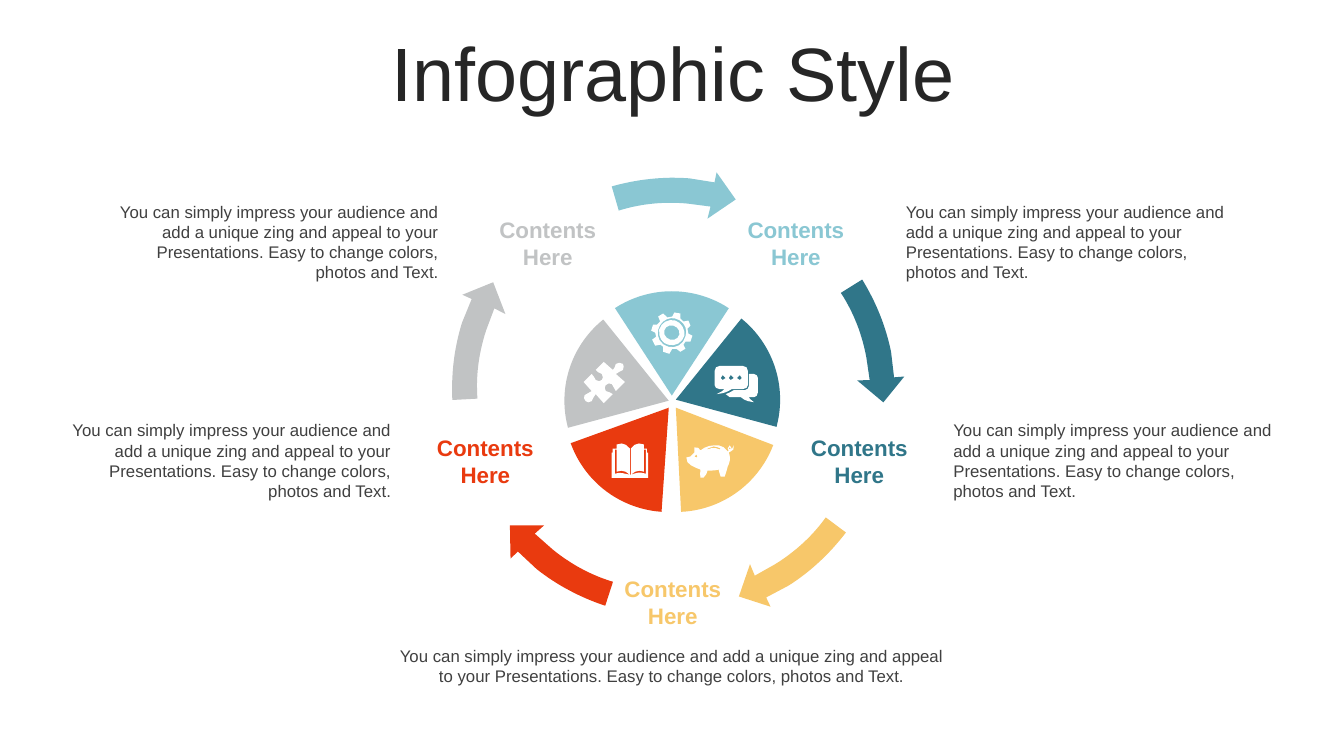
from dataclasses import dataclass
from math import ceil, dist

from pptx import Presentation
from pptx.dml.color import RGBColor
from pptx.enum.shapes import MSO_SHAPE as SHAPE
from pptx.enum.text import MSO_ANCHOR as ANCHOR, MSO_AUTO_SIZE as AUTO, PP_ALIGN as ALIGN
from pptx.util import Pt

Point = tuple[float, float]

GRID = 0.72  # points per outline unit
STEP_LENGTH = 5  # outline units per straight piece of a curve
PIE_SIZE = 149
PIE_ANGLES = (142.18, 181.88)
LABEL_SIZE = (88.6, 46.1)
WHITE, DARK, INK = "FFFFFF", "262626", "404040"
LABEL = "Contents Here"
NOTE = ("You can simply impress your audience and add a unique zing and appeal "
        "to your Presentations. Easy to change colors, photos and Text.")

TITLE_FONT = {"size": Pt(54), "name": "Arial"}
LABEL_FONT = {"size": Pt(16), "name": "Arial", "bold": True}
NOTE_FONT = {"size": Pt(12), "name": "Arial"}

ARROW = """M 104 0 L 123 27 L 95 46 L 98 34 L 75 31 C 52 29 29 31 7 38
L 0 14 C 25 7 51 4 77 6 L 102 10 Z"""
GEAR = """M 22 13 C 18 12 14 14 13 18 C 12 22 15 26 19 27 C 23 28 27 26 28 22
C 29 18 26 14 22 13 Z M 24 8 C 30 10 34 17 33 23 C 31 30 24 34 17 32
C 11 31 7 24 8 17 C 10 10 17 6 24 8 Z M 24 6 C 17 4 9 9 7 17 C 5 24 9 32 17 34
C 24 36 32 32 34 24 C 37 16 32 8 24 6 Z M 29 1 L 29 6 L 32 9 L 37 8
L 39 13 L 36 16 L 37 21 L 41 23 L 39 29 L 34 29 L 32 32
L 34 36 L 29 39 L 25 36 L 21 36 L 18 41 L 12 39 L 12 34
L 9 32 L 4 33 L 1 27 L 5 24 L 4 20 L 0 18 L 2 12 L 6 12
L 9 9 L 7 4 L 12 1 L 16 5 L 21 4 L 23 0 Z"""
CHAT = """M 25 9 C 23 9 22 10 22 12 C 22 13 23 14 25 14 C 26 14 27 13 27 12
C 27 10 26 9 25 9 Z M 16 9 C 15 9 14 10 14 12 C 14 13 15 14 16 14
C 18 14 19 13 19 12 C 19 10 18 9 16 9 Z M 8 9 C 7 9 6 10 6 12 C 6 13 7 14 8 14
C 10 14 11 13 11 12 C 11 10 10 9 8 9 Z M 34 8 L 39 8 C 41 8 43 10 43 12 L 43 26
C 43 29 41 31 39 31 L 34 31 C 35 32 34 33 39 36 C 31 35 30 34 26 31 L 15 31
C 13 31 12 30 11 28 C 14 27 16 26 19 24 L 30 24 C 32 24 34 22 34 20 Z
M 5 0 L 28 0 C 31 0 33 2 33 5 L 33 19 C 33 21 31 23 28 23 L 17 23
C 12 26 10 27 2 28 C 7 25 7 26 10 23 L 5 23 C 2 23 0 21 0 19 L 0 5 C 0 2 2 0 5 0 Z"""
PIG = """M 10 9 L 8 11 L 10 12 L 11 11 Z M 43 2 L 42 3 L 43 4 L 44 3 Z
M 27 1 L 21 3 L 21 4 C 25 2 29 2 33 4 L 34 3 C 32 2 29 1 27 1 Z
M 27 0 C 32 -1 38 1 40 5 L 41 6 L 42 5 L 41 3 C 41 1 42 0 43 0
C 44 0 45 1 45 3 L 45 4 L 47 0 C 48 4 46 5 44 6 L 42 7 L 43 10 C 44 15 42 19 41 21
C 40 25 39 28 38 31 L 34 31 C 33 29 33 27 32 24 C 29 25 24 25 21 25
C 21 27 19 30 17 32 L 14 32 C 13 31 14 26 14 24 C 9 22 -1 19 0 12
L 4 11 L 8 7 L 8 2 C 12 1 12 3 14 5 C 17 2 23 0 27 0 Z"""
BOOK = """M 18 31 L 19 31 C 25 29 27 28 34 30 L 34 6 L 32 6 L 32 28
C 28 26 23 27 19 31 L 19 5 C 21 2 24 0 27 0 L 32 1 L 32 5 L 35 5 L 35 9
L 36 9 L 36 34 L 0 34 L 0 9 L 1 9 L 1 5 L 5 5 L 5 1 L 10 0
C 13 0 15 2 18 5 L 18 31 C 14 27 9 26 5 28 L 5 6 L 3 6 L 3 30 C 9 28 12 30 18 31 Z"""
PUZZLE = """M 39 2 C 40 3 40 6 39 8 C 37 10 35 9 32 12 L 41 20 L 32 29
C 29 27 31 24 28 22 C 26 21 24 21 22 23 C 21 24 20 27 22 29 C 25 31 26 29 29 32
L 20 41 L 12 32 C 9 35 10 36 8 39 C 6 41 3 40 2 39 C 0 37 0 35 1 33
C 3 30 6 32 8 29 L 0 20 L 8 12 C 11 14 10 16 12 18 C 14 20 17 19 18 18
C 19 17 20 14 18 12 C 15 10 14 11 12 8 L 20 0 L 29 8 C 32 6 30 5 32 2
C 34 0 37 1 39 2 Z"""


@dataclass
class Stage:
    color: str
    arrow_at: Point
    arrow_turn: float
    pie_at: Point
    pie_turn: float
    icon: str
    icon_at: Point
    label_at: Point
    note_at: Point
    note_align: ALIGN
    note_size: Point = (241.9, 65.5)


STAGES = [
    Stage("8AC7D3", (437, 123.1), 0, (405.4, 208.1), 0, GEAR, (465.1, 223.2),
          (524.2, 150.5), (640, 140.4), ALIGN.LEFT),
    Stage("307689", (577.4, 227.5), 74.2, (408.2, 211), 72, CHAT, (510.5, 261.4),
          (569.5, 306), (673.9, 296.6), ALIGN.LEFT),
    Stage("F7C76A", (520.6, 385.2), 143.1, (408.2, 216.7), 144, PIG, (490.3, 318.2),
          (436.3, 406.8), (274.3, 457.9), ALIGN.CENTER, (411.1, 36)),
    Stage("E93A0F", (355, 385.9), 214.1, (403.2, 216.7), 217, BOOK, (437, 316.8),
          (302.4, 306), (44.6, 296.6), ALIGN.RIGHT),
    Stage("C1C3C4", (295.2, 227.5), 283.1, (403.2, 211.7), 288, PUZZLE, (416.9, 258.5),
          (347, 150.5), (78.5, 140.4), ALIGN.RIGHT),
]


def rgb(color: str) -> RGBColor:
    return RGBColor.from_string(color)


def paint(sp, color: str, turn: float = 0) -> None:
    sp.shadow.inherit = False
    sp.fill.solid()
    sp.fill.fore_color.rgb = rgb(color)
    sp.line.fill.background()
    sp.rotation = turn


def contours(outline: str) -> list[list[Point]]:
    """Turn M, L, C and Z commands into lists of points, curves cut into steps."""
    result, tokens = [], iter(outline.split())
    for command in tokens:
        if command == "Z":
            continue
        count = 3 if command == "C" else 1
        ends = [(float(next(tokens)), float(next(tokens))) for _ in range(count)]
        if command == "M":
            result.append(ends)
        elif command == "L":
            result[-1] += ends
        else:
            curve = [result[-1][-1], *ends]
            steps = ceil(dist(curve[0], curve[-1]) / STEP_LENGTH)
            for step in range(1, steps + 1):
                t = step / steps
                weights = ((1 - t) ** 3, 3 * t * (1 - t) ** 2, 3 * t * t * (1 - t), t ** 3)
                result[-1].append(tuple(sum(w * pt[axis] for w, pt in zip(weights, curve))
                                        for axis in (0, 1)))
    return result


def add_outline(s, outline: str, at: Point, color: str, turn: float = 0) -> None:
    rings = [[(Pt(x * GRID), Pt(y * GRID)) for x, y in ring] for ring in contours(outline)]
    builder = s.shapes.build_freeform(*rings[0][0])
    for i, ring in enumerate(rings):
        if i:
            builder.move_to(*ring[0])
        builder.add_line_segments(ring[1:], close=True)
    paint(builder.convert_to_shape(Pt(at[0]), Pt(at[1])), color, turn)


def add_pie(s, stage: Stage) -> None:
    sp = s.shapes.add_shape(SHAPE.PIE, *map(Pt, stage.pie_at), Pt(PIE_SIZE), Pt(PIE_SIZE))
    for i, angle in enumerate(PIE_ANGLES):
        sp.adjustments[i] = angle
    paint(sp, stage.color, stage.pie_turn)


def add_text(s, text: str, at: Point, size: Point, font: dict, color: str,
             align: ALIGN = ALIGN.CENTER, anchor: ANCHOR = ANCHOR.MIDDLE,
             fit: AUTO = AUTO.SHAPE_TO_FIT_TEXT):
    tf = s.shapes.add_textbox(*map(Pt, at + size)).text_frame
    for key, value in {"word_wrap": True, "auto_size": fit, "vertical_anchor": anchor}.items():
        setattr(tf, key, value)
    p = tf.paragraphs[0]
    p.alignment = align
    r = p.add_run()
    r.text = text
    for key, value in font.items():
        setattr(r.font, key, value)
    r.font.color.rgb = rgb(color)
    return p


def main() -> None:
    prs = Presentation()
    prs.slide_width, prs.slide_height = Pt(960), Pt(540)
    s = prs.slides.add_slide(prs.slide_layouts[6])
    title = add_text(s, "Infographic Style", (25.2, 26.6), (911.5, 56.9), TITLE_FONT, DARK,
                     fit=AUTO.NONE)
    title.line_spacing = 0.9
    for stage in STAGES:
        add_outline(s, ARROW, stage.arrow_at, stage.color, stage.arrow_turn)
        add_text(s, LABEL, stage.label_at, LABEL_SIZE, LABEL_FONT, stage.color)
        add_pie(s, stage)
        add_outline(s, stage.icon, stage.icon_at, WHITE)
        add_text(s, NOTE, stage.note_at, stage.note_size, NOTE_FONT, INK,
                 stage.note_align, ANCHOR.TOP)
    prs.save("out.pptx")


if __name__ == "__main__":
    main()
